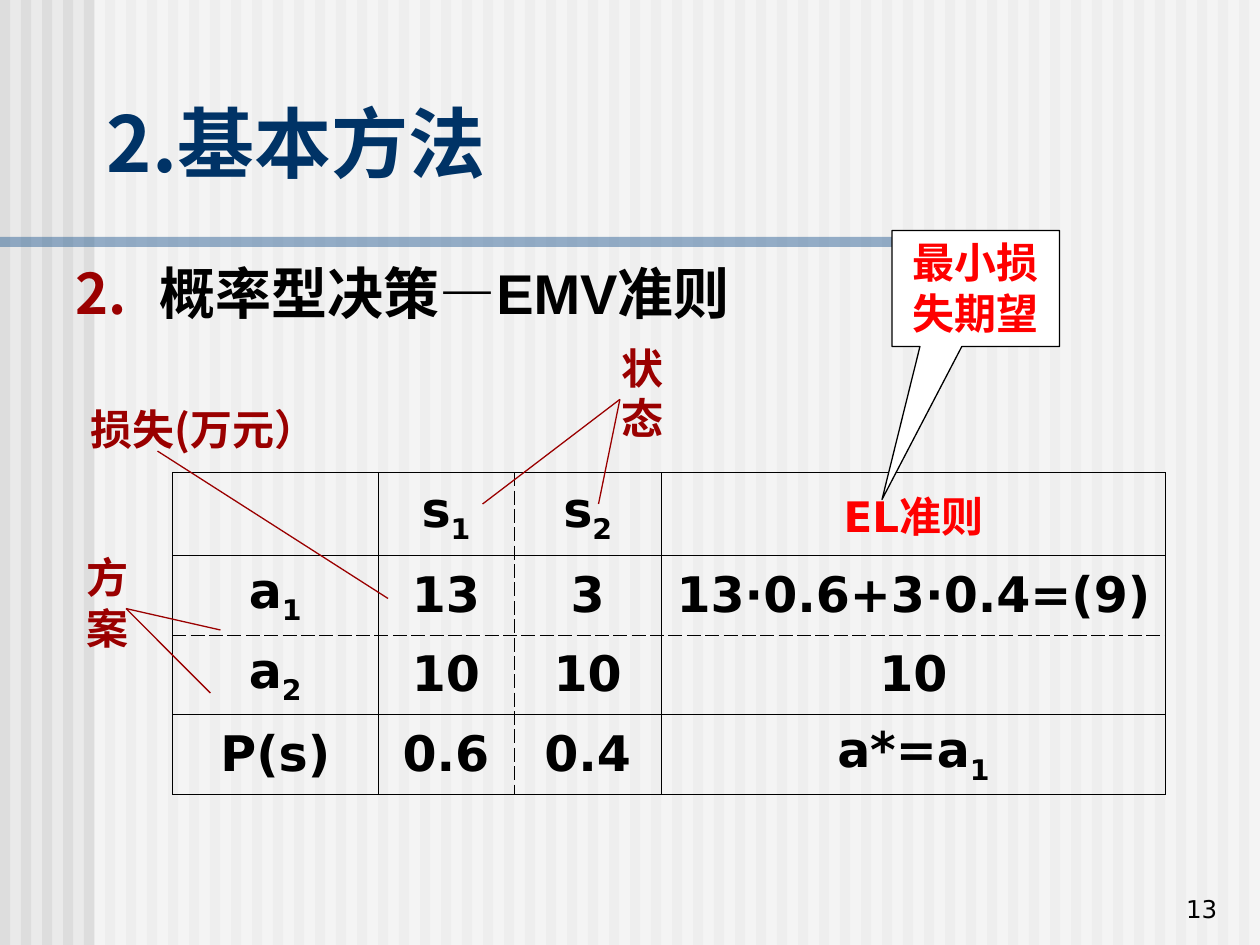
from typing import NamedTuple

from lxml import etree
from pptx import Presentation
from pptx import util as u
from pptx.dml.color import RGBColor
from pptx.enum import shapes, text
from pptx.oxml import ns

LATIN, HAN, HEADING = "DejaVu Sans", "Noto Sans CJK SC", "Arial"
BLACK, RED, MAROON, NAVY = "000000", "FF0000", "9A0000", "003366"
PALE, WHITE, STEEL = "DDDDDD", "FFFFFF", "336699"
NO_STYLE = "{2D5ABB26-0587-4C30-8999-92F81FD0307C}"


class Box(NamedTuple):
    left: float
    top: float
    width: float
    height: float

    def lengths(self):
        return [u.Inches(value) for value in self]


class Run(NamedTuple):
    words: str
    subscript: bool = False
    face: str = ""


class Style(NamedTuple):
    size: float
    color: str
    face: str = LATIN
    bold: bool = True
    align: text.PP_ALIGN = text.PP_ALIGN.CENTER


class Label(NamedTuple):
    words: str
    box: Box
    source: tuple[float, float]
    targets: list[tuple[float, float]]


def rgb(color: str) -> RGBColor:
    return RGBColor.from_string(color)


def child(parent, tag: str, **attributes):
    return etree.SubElement(parent, ns.qn(tag), attributes)


def write(frame, runs: list[Run], style: Style, before: float = 0):
    paragraph = frame.paragraphs[0]
    paragraph.alignment = style.align
    paragraph.space_before = u.Pt(before)
    font = paragraph.font
    font.size, font.bold, font.name = u.Pt(style.size), style.bold, style.face
    font.color.rgb = rgb(style.color)
    for part in runs:
        run = paragraph.add_run()
        run.text = part.words
        if part.face:
            run.font.name = part.face
        properties = run.font._element
        child(properties, "a:ea", typeface=HAN)
        if part.subscript:
            properties.set("baseline", "-25000")
    return paragraph


def add_text(slide, box: Box, words: str, style: Style,
             anchor=text.MSO_ANCHOR.TOP, wrap: bool = True, before: float = 0):
    frame = slide.shapes.add_textbox(*box.lengths()).text_frame
    frame.word_wrap = wrap
    frame.vertical_anchor = anchor
    if not wrap:
        frame.auto_size = text.MSO_AUTO_SIZE.SHAPE_TO_FIT_TEXT
    return write(frame, [Run(words)], style, before)


def add_block(slide, box: Box, fill: str, opacity: int = 100,
              kind=shapes.MSO_SHAPE.RECTANGLE):
    block = slide.shapes.add_shape(kind, *box.lengths())
    block.shadow.inherit = False
    block.fill.solid()
    block.fill.fore_color.rgb = rgb(fill)
    block.line.fill.background()
    if opacity < 100:
        color = block._element.spPr.find(ns.qn("a:solidFill"))[0]
        child(color, "a:alpha", val=str(opacity * 1000))
    return block


def add_pointer(slide, start: tuple[float, float], end: tuple[float, float]):
    pointer = slide.shapes.add_connector(
        shapes.MSO_CONNECTOR.STRAIGHT, *[u.Inches(value) for value in start + end])
    pointer.line.color.rgb = rgb(MAROON)
    pointer.line.width = u.Pt(0.75)
    child(pointer._element.spPr, "a:effectLst")


def set_borders(cell, edges: dict[str, str]):
    """Draw each side of a cell as solid, dash or none; lines precede the fill."""
    properties = cell._tc.get_or_add_tcPr()
    for position, (side, dash) in enumerate(edges.items()):
        line = etree.Element(ns.qn(f"a:ln{side}"), w=str(u.Pt(0.45)))
        if dash == "none":
            child(line, "a:noFill")
        else:
            child(child(line, "a:solidFill"), "a:srgbClr", val=BLACK)
            child(line, "a:prstDash", val=dash)
        properties.insert(position, line)


def add_payoff_table(slide):
    widths, heights = [1.04, 0.59, 1.08, 1.17, 4], [0.66, 0.63, 0.63, 0.63]
    row_rules = ["solid", "solid", "dash", "solid", "solid"]
    column_rules = ["solid", "none", "solid", "dash", "solid", "solid"]
    dot = Run("⋅", face=HEADING)
    contents = [
        [[], [], [Run("s"), Run("1", True)], [Run("s"), Run("2", True)], [Run("EL准则")]],
        [[Run("a"), Run("1", True)], [], [Run("13")], [Run("3")],
         [Run("13"), dot, Run("0.6+3"), dot, Run("0.4=(9)")]],
        [[Run("a"), Run("2", True)], [], [Run("10")], [Run("10")], [Run("10")]],
        [[Run("P(s)")], [], [Run("0.6")], [Run("0.4")], [Run("a*=a"), Run("1", True)]],
    ]
    box = Box(1.37, 3.75, sum(widths), sum(heights))
    frame = slide.shapes.add_table(len(heights), len(widths), *box.lengths())
    table = frame.table
    table.first_row = table.horz_banding = False
    table._tbl.tblPr.find(ns.qn("a:tableStyleId")).text = NO_STYLE
    for column, width in zip(table.columns, widths):
        column.width = u.Inches(width)
    for row, height in zip(table.rows, heights):
        row.height = u.Inches(height)
    for r in range(1, len(heights)):
        table.cell(r, 0).merge(table.cell(r, 1))

    for r, row in enumerate(contents):
        for c, runs in enumerate(row):
            cell = table.cell(r, c)
            if cell.is_spanned:
                continue
            cell.fill.background()
            cell.vertical_anchor = text.MSO_ANCHOR.MIDDLE
            right = c + (cell.span_width if cell.is_merge_origin else 1)
            set_borders(cell, {"L": column_rules[c], "R": column_rules[right],
                               "T": row_rules[r], "B": row_rules[r + 1]})
            criterion = (r, c) == (0, 4)
            style = Style(24, RED) if criterion else Style(28, BLACK)
            write(cell.text_frame, runs, style, before=6 if criterion else 7)


def add_heading(slide):
    heading = add_text(slide, Box(0.5, 2, 8.92, 5.08), "概率型决策—EMV准则",
                       Style(32, BLACK, HEADING, align=text.PP_ALIGN.JUSTIFY), before=8)
    properties = heading._p.get_or_add_pPr()
    indent = u.Inches(0.67)
    properties.set("marL", str(indent))
    properties.set("indent", str(-indent))
    color = etree.Element(ns.qn("a:buClr"))
    child(color, "a:srgbClr", val=MAROON)
    number = etree.Element(ns.qn("a:buAutoNum"), type="arabicPeriod", startAt="2")
    defaults = properties.find(ns.qn("a:defRPr"))
    defaults.addprevious(color)
    defaults.addprevious(number)


def add_callout(slide):
    callout = add_block(slide, Box(7.08, 1.83, 1.33, 0.92), WHITE,
                        kind=shapes.MSO_SHAPE.RECTANGULAR_CALLOUT)
    callout.adjustments[0], callout.adjustments[1] = -0.56, 1.82
    callout.line.color.rgb = rgb(BLACK)
    callout.line.width = u.Pt(0.75)
    callout.text_frame.word_wrap = True
    callout.text_frame.vertical_anchor = text.MSO_ANCHOR.TOP
    write(callout.text_frame, [Run("最小损失期望")], Style(24, RED))


def main():
    deck = Presentation()
    deck.slide_width, deck.slide_height = u.Inches(10), u.Inches(7.5)
    slide = deck.slides.add_slide(deck.slide_layouts[6])
    background = slide.background.fill
    background.solid()
    background.fore_color.rgb = rgb("EAEAEA")

    for stripe in range(60):
        add_block(slide, Box(stripe / 6, 0, 0.08, 7.5), PALE)
    add_block(slide, Box(0.75, 0, 9.25, 7.5), WHITE, opacity=50)
    add_block(slide, Box(0, 1.88, 7.6, 0.08), STEEL, opacity=50)

    add_text(slide, Box(0.75, 0.5, 8.5, 1.25), "2.基本方法",
             Style(44, NAVY, HAN, align=text.PP_ALIGN.LEFT), text.MSO_ANCHOR.MIDDLE)
    add_heading(slide)
    add_payoff_table(slide)

    labels = [
        Label("状态", Box(4.67, 2.67, 0.86, 0.5), (4.92, 3.17), [(3.83, 4), (4.75, 4)]),
        Label("损失(万元）", Box(0.54, 3.15, 2.15, 0.5), (1.25, 3.58), [(3.08, 4.75)]),
        Label("方案", Box(0.42, 4.33, 0.86, 0.5), (1, 4.83), [(1.67, 5.5), (1.75, 5)]),
    ]
    for label in labels:
        add_text(slide, label.box, label.words, Style(24, MAROON, HAN), wrap=False)
        for target in label.targets:
            add_pointer(slide, label.source, target)

    add_callout(slide)
    add_text(slide, Box(7.68, 6.88, 2.08, 0.5), "13",
             Style(14, BLACK, bold=False, align=text.PP_ALIGN.RIGHT), text.MSO_ANCHOR.BOTTOM)
    deck.save("out.pptx")


if __name__ == "__main__":
    main()
